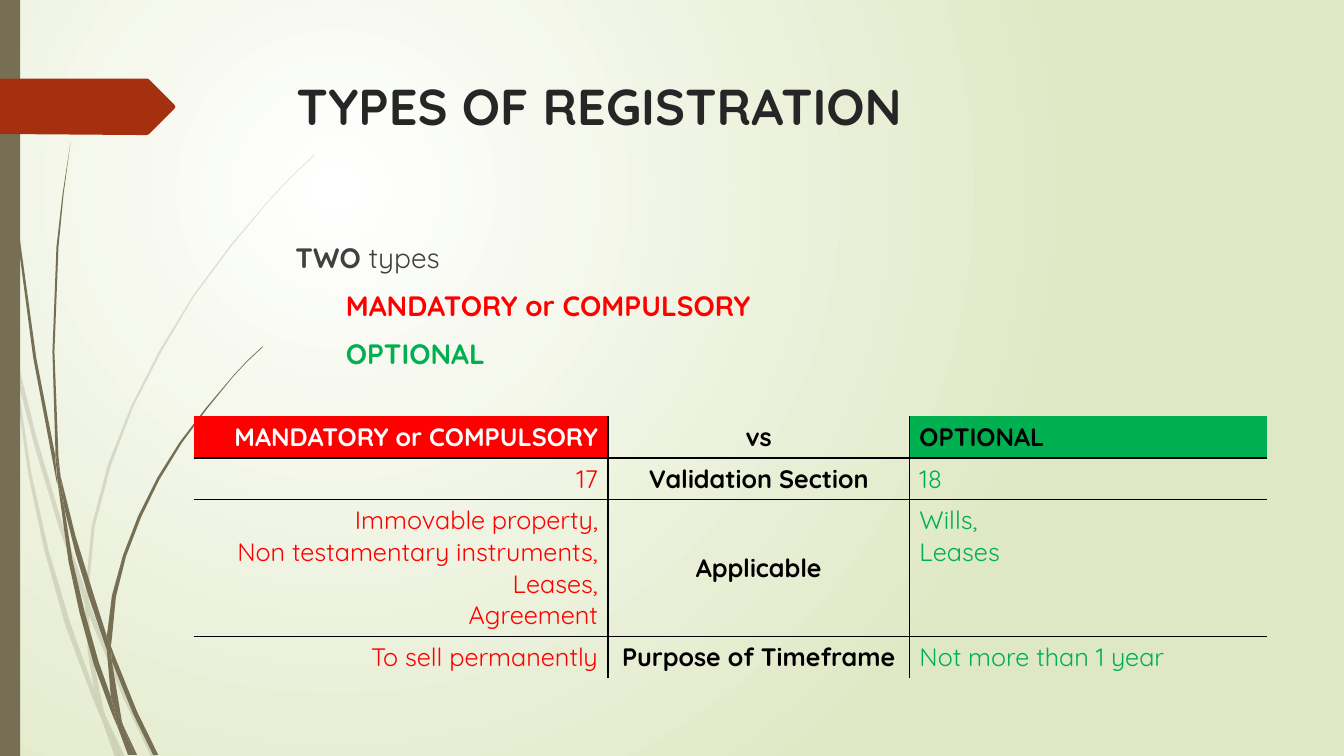
from dataclasses import dataclass

from lxml import etree
from pptx import Presentation
from pptx.dml.color import RGBColor
from pptx.enum.shapes import MSO_SHAPE
from pptx.enum.text import MSO_ANCHOR, MSO_AUTO_SIZE, PP_ALIGN
from pptx.oxml.ns import qn
from pptx.util import Inches, Pt

RECTANGLE = MSO_SHAPE.RECTANGLE
LEFT, CENTER, RIGHT = PP_ALIGN.LEFT, PP_ALIGN.CENTER, PP_ALIGN.RIGHT
TOP, MIDDLE = MSO_ANCHOR.TOP, MSO_ANCHOR.MIDDLE
NO_FIT = MSO_AUTO_SIZE.NONE


@dataclass(frozen=True)
class Theme:
    font: str = "Quicksand"
    title_size: int = 36
    body_size: int = 20
    table_size: int = 18
    title: str = "262626"
    body: str = "404040"
    mandatory: str = "FF0000"
    optional: str = "00B050"
    black: str = "000000"
    white: str = "FFFFFF"
    stem: str = "766F54"
    arrow: str = "A53010"
    backdrop: str = "DFE8C4"


THEME = Theme()

# Outlines of the blades of grass, in inches on the slide.
PALE_BLADES = [
    [(0.11, 3.5), (0.09, 3.22), (0, 2.82), (0, 2.99), (0.1, 3.44)],
    [(0.58, 5.22), (0.84, 5.99), (0.85, 5.86), (0.62, 5.2), (0.36, 4.33), (0.14, 3.45),
     (0.17, 3.76), (0.36, 4.49)],
    [(0.92, 6.07), (0.88, 5.96), (0.88, 6.1), (1.23, 6.94), (1.5, 7.51), (1.55, 7.51),
     (1.27, 6.92)],
    [(1.19, 7.51), (1.24, 7.51), (1.05, 7.11)],
    [(0.93, 6.83), (0.7, 6.19), (0.48, 5.45), (0.31, 4.69), (0.17, 3.76), (0.11, 3.5),
     (0.28, 4.7), (0.44, 5.46), (0.65, 6.21), (0.92, 6.93), (1.01, 7.14), (0.99, 7.07)],
    [(0.84, 5.99), (0.87, 6.46), (0.93, 6.83), (0.96, 6.92), (1.05, 7.11), (1.03, 7.06),
     (0.91, 6.46), (0.88, 6.1), (0.88, 6.08)],
    [(0.88, 5.84), (0.94, 5.22), (1.1, 4.62), (1.32, 4.04), (1.6, 3.49), (1.92, 2.95),
     (2.29, 2.45), (2.68, 1.98), (2.9, 1.75), (3.12, 1.54), (3.12, 1.53), (2.89, 1.75),
     (2.68, 1.97), (2.28, 2.44), (1.91, 2.94), (1.58, 3.48), (1.3, 4.03), (1.07, 4.61),
     (0.91, 5.22), (0.85, 5.84), (0.85, 5.86), (0.88, 5.96)],
    [(1.01, 7.14), (1.14, 7.51), (1.19, 7.51)],
    [(0.88, 6.08), (0.88, 6.1), (0.88, 5.96), (0.85, 5.86), (0.84, 5.99)],
    [(0.96, 6.92), (0.93, 6.83), (0.99, 7.07), (1.01, 7.14), (1.19, 7.51), (1.05, 7.11)],
]
DARK_BLADES = [
    [(0.07, 1.1), (0.17, 2.33), (0.33, 3.55), (0.56, 4.77), (0.57, 4.81), (0.55, 4.57),
     (0.55, 4.53), (0.36, 3.55), (0.19, 2.32), (0.08, 1.09), (0.05, 0.48), (0.04, 0),
     (0.03, 0), (0.04, 0.48)],
    [(0.88, 5.92), (1.06, 6.45), (1.06, 6.33), (1.06, 6.31), (0.93, 5.9), (0.75, 5.32),
     (0.6, 4.72), (0.64, 5.05), (0.75, 5.49)],
    [(1.13, 6.49), (1.1, 6.41), (1.11, 6.56), (1.32, 7.08), (1.52, 7.49), (1.57, 7.49),
     (1.36, 7.06)],
    [(1.1, 6.91), (0.98, 6.57), (0.84, 6.07), (0.72, 5.56), (0.64, 5.05), (0.57, 4.77),
     (0.68, 5.57), (0.79, 6.08), (0.93, 6.59), (1.11, 7.08), (1.17, 7.22), (1.16, 7.17)],
    [(0.6, 4.72), (0.58, 4.53), (0.54, 3.49), (0.58, 2.45), (0.63, 1.93), (0.7, 1.41),
     (0.62, 1.93), (0.56, 2.45), (0.52, 3.49), (0.55, 4.49)],
    [(1.33, 7.49), (1.36, 7.49), (1.22, 7.19)],
    [(0.57, 4.77), (0.64, 5.05), (0.6, 4.72), (0.55, 4.49), (0.55, 4.53)],
    [(1.11, 6.33), (1.15, 5.92), (1.25, 5.52), (1.4, 5.13), (1.58, 4.76), (1.8, 4.4),
     (2.05, 4.06), (2.31, 3.74), (2.45, 3.59), (2.61, 3.44), (2.6, 3.44), (2.45, 3.58),
     (2.31, 3.73), (2.04, 4.05), (1.78, 4.39), (1.56, 4.74), (1.37, 5.12), (1.22, 5.51),
     (1.11, 5.91), (1.06, 6.31), (1.1, 6.41)],
    [(1.17, 7.22), (1.27, 7.49), (1.31, 7.49)],
    [(1.06, 6.45), (1.1, 6.91), (1.16, 7.06), (1.22, 7.19), (1.21, 7.16), (1.11, 6.56),
     (1.09, 6.51)],
    [(1.06, 6.45), (1.09, 6.51), (1.11, 6.56), (1.1, 6.41), (1.06, 6.31)],
    [(1.16, 7.06), (1.1, 6.91), (1.16, 7.17), (1.17, 7.22), (1.3, 7.49), (1.33, 7.49),
     (1.22, 7.19)],
]
ARROW = [(1.73, 1.08), (1.48, 1.33), (1.46, 1.34), (1.36, 1.34), (0, 1.33), (0, 0.78),
         (1.46, 0.78), (1.48, 0.79), (1.73, 1.04), (1.74, 1.06)]

COLUMN_WIDTHS = [4.11, 2.99, 3.55]
ROW_HEIGHTS = [0.41, 0.41, 1, 0.41]
COMPARISON = [
    (["MANDATORY or COMPULSORY"], ["vs"], ["OPTIONAL"]),
    (["17"], ["Validation Section"], ["18"]),
    (["Immovable property,", "Non testamentary instruments,", "Leases,", "Agreement"],
     ["Applicable"], ["Wills,", "Leases"]),
    (["To sell permanently"], ["Purpose of Timeframe"], ["Not more than 1 year"]),
]


def paint(shape, color, alpha=100):
    shape.shadow.inherit = False
    shape.fill.solid()
    shape.fill.fore_color.rgb = RGBColor.from_string(color)
    shape.line.fill.background()
    if alpha < 100:
        tone = shape.fill._xPr.find(".//" + qn("a:srgbClr"))
        etree.SubElement(tone, qn("a:alpha"), val=str(alpha * 1000))


def add_run(paragraph, text, size, color, bold=False):
    run = paragraph.add_run()
    run.text = text
    run.font.name = THEME.font
    run.font.size = Pt(size)
    run.font.bold = bold
    run.font.color.rgb = RGBColor.from_string(color)


def add_outline(shapes, outline, color, alpha=100):
    points = [(Inches(x), Inches(y)) for x, y in outline]
    builder = shapes.build_freeform(*points[0])
    builder.add_line_segments(points[1:], close=True)
    paint(builder.convert_to_shape(), color, alpha)


def add_backdrop(slide):
    """Fill the background with a round glow at the upper left."""
    fill = slide.background.fill
    fill.gradient()
    for stop, color in zip(fill.gradient_stops, (THEME.white, THEME.backdrop)):
        stop.color.rgb = RGBColor.from_string(color)
    glow = slide.background._cSld.find(".//" + qn("a:gradFill"))
    for direction in glow.findall(qn("a:lin")):
        glow.remove(direction)
    circle = etree.Element(qn("a:path"), path="circle")
    etree.SubElement(circle, qn("a:fillToRect"), l="50000", t="50000", r="100000", b="100000")
    glow.find(qn("a:gsLst")).addnext(circle)


def add_decoration(slide, height):
    for blades, alpha in ((PALE_BLADES, 20), (DARK_BLADES, 100)):
        tuft = slide.shapes.add_group_shape()
        for blade in blades:
            add_outline(tuft.shapes, blade, THEME.stem, alpha)
    side_bar = slide.shapes.add_shape(RECTANGLE, 0, 0, Inches(0.2), height)
    paint(side_bar, THEME.stem)
    add_outline(slide.shapes, ARROW, THEME.arrow)


def place(placeholder, box):
    placeholder.left, placeholder.top, placeholder.width, placeholder.height = map(Inches, box)
    frame = placeholder.text_frame
    frame.word_wrap = True
    frame.auto_size = NO_FIT
    frame.vertical_anchor = TOP
    return frame


def fill_title(slide, box):
    heading = place(slide.shapes.title, box).paragraphs[0]
    heading.alignment = LEFT
    add_run(heading, "TYPES OF REGISTRATION", THEME.title_size, THEME.title, True)


def fill_types(slide, box):
    frame = place(slide.placeholders[1], box)
    lines = [
        (0, [("TWO ", THEME.body, True), ("types", THEME.body, False)]),
        (0.5, [("MANDATORY or COMPULSORY", THEME.mandatory, True)]),
        (0.5, [("OPTIONAL", THEME.optional, True)]),
    ]
    for number, (indent, runs) in enumerate(lines):
        line = frame.paragraphs[0] if number == 0 else frame.add_paragraph()
        line.space_before = Pt(10)
        properties = line._p.get_or_add_pPr()
        properties.set("marL", str(Inches(indent)))
        properties.set("indent", "0")
        etree.SubElement(properties, qn("a:buNone"))
        for text, color, bold in runs:
            add_run(line, text, THEME.body_size, color, bold)


def set_borders(cell, inner_sides):
    properties = cell._tc.get_or_add_tcPr()
    for position, side in enumerate("LRTB"):
        border = etree.Element(qn("a:ln" + side), w=str(Pt(1)))
        if side in inner_sides:
            ink = etree.SubElement(border, qn("a:solidFill"))
            etree.SubElement(ink, qn("a:srgbClr"), val=THEME.black)
        else:
            etree.SubElement(border, qn("a:noFill"))
        properties.insert(position, border)


def add_comparison(slide, left, top):
    rows, columns = len(ROW_HEIGHTS), len(COLUMN_WIDTHS)
    table = slide.shapes.add_table(rows, columns, Inches(left), Inches(top),
                                   Inches(sum(COLUMN_WIDTHS)), Inches(sum(ROW_HEIGHTS))).table
    table.first_row = table.horz_banding = False
    for column, width in zip(table.columns, COLUMN_WIDTHS):
        column.width = Inches(width)
    for row, height in zip(table.rows, ROW_HEIGHTS):
        row.height = Inches(height)
    header_colors = (THEME.white, THEME.black, THEME.black)
    body_colors = (THEME.mandatory, THEME.black, THEME.optional)
    header_fills = (THEME.mandatory, None, THEME.optional)
    for r, entries in enumerate(COMPARISON):
        colors = body_colors if r else header_colors
        for c, lines in enumerate(entries):
            cell = table.cell(r, c)
            cell.vertical_anchor = MIDDLE if c == 1 and r else TOP
            if r == 0 and header_fills[c]:
                cell.fill.solid()
                cell.fill.fore_color.rgb = RGBColor.from_string(header_fills[c])
            else:
                cell.fill.background()
            edges = {"L": c > 0, "R": c < columns - 1, "T": r > 0, "B": r < rows - 1}
            set_borders(cell, [side for side, inner in edges.items() if inner])
            frame = cell.text_frame
            for number, text in enumerate(lines):
                line = frame.paragraphs[0] if number == 0 else frame.add_paragraph()
                line.alignment = (RIGHT, CENTER, LEFT)[c]
                add_run(line, text, THEME.table_size, colors[c], r == 0 or c == 1)


def main():
    deck = Presentation()
    deck.slide_width, deck.slide_height = Inches(13.33), Inches(7.5)
    slide = deck.slides.add_slide(deck.slide_layouts[1])
    add_backdrop(slide)
    add_decoration(slide, deck.slide_height)
    fill_title(slide, (2.84, 0.69, 9.75, 1.4))
    fill_types(slide, (2.83, 2.34, 9.75, 4.13))
    add_comparison(slide, 1.92, 4.13)
    deck.save("out.pptx")


if __name__ == "__main__":
    main()
